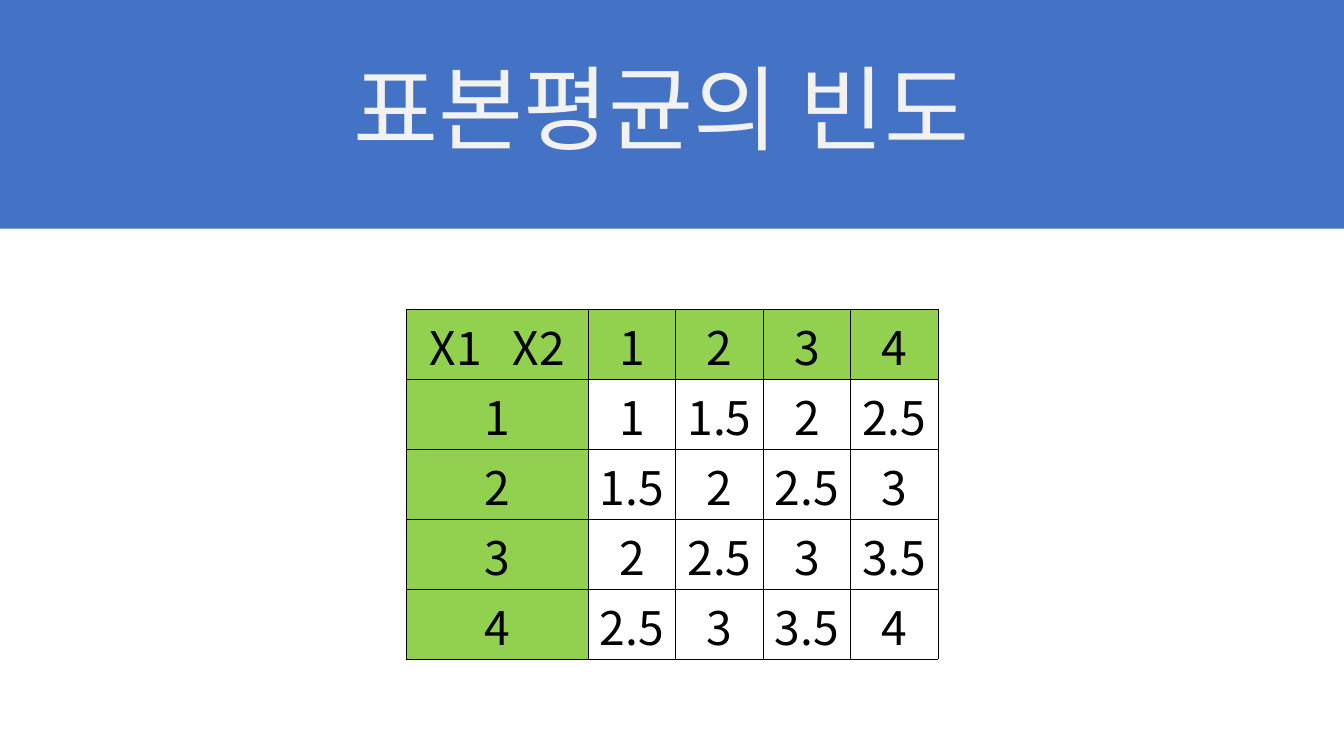
from lxml import etree
from pptx import Presentation
from pptx.dml.color import RGBColor
from pptx.enum import shapes, text
from pptx.oxml.ns import qn
from pptx.util import Pt

BLUE = RGBColor(0x44, 0x72, 0xC4)
GREEN = RGBColor(0x92, 0xD0, 0x50)
WHITE = RGBColor(0xFF, 0xFF, 0xFF)
OFF_WHITE = RGBColor(0xF2, 0xF2, 0xF2)
BLACK = RGBColor(0, 0, 0)
FONT = "Noto Sans CJK KR"


def format_runs(p, size, color):
    """Centre a paragraph and set the Latin and East Asian font of its runs."""
    p.alignment = text.PP_ALIGN.CENTER
    for r in p.runs:
        r.font.size = Pt(size)
        r.font.name = FONT
        r.font.color.rgb = color
        etree.SubElement(r.font._element, qn("a:ea"), typeface=FONT)


def add_borders(cell):
    tcPr = cell._tc.get_or_add_tcPr()
    for i, side in enumerate(("lnL", "lnR", "lnT", "lnB")):
        ln = etree.Element(qn(f"a:{side}"), w=str(Pt(0.5)))
        fill = etree.SubElement(ln, qn("a:solidFill"))
        etree.SubElement(fill, qn("a:srgbClr"), val=str(BLACK))
        tcPr.insert(i, ln)


prs = Presentation()
prs.slide_width, prs.slide_height = Pt(960), Pt(540)
s = prs.slides.add_slide(prs.slide_layouts[5])

# Title on a blue banner
banner = s.shapes.add_shape(shapes.MSO_SHAPE.RECTANGLE, Pt(0), Pt(-0.7), Pt(960), Pt(164))
banner.shadow.inherit = False
banner.fill.solid()
banner.fill.fore_color.rgb = BLUE
banner.line.fill.background()

title = s.shapes.title
banner._element.addnext(title._element)
title.left, title.top, title.width, title.height = Pt(66), Pt(28.8), Pt(828), Pt(104.4)
tf = title.text_frame
tf.text = "표본평균의 빈도 "
tf.word_wrap = True
tf.auto_size = text.MSO_AUTO_SIZE.NONE
tf.vertical_anchor = text.MSO_ANCHOR.MIDDLE
tf.paragraphs[0].line_spacing = 0.9
format_runs(tf.paragraphs[0], 66, OFF_WHITE)

# Mean of every pair of draws from 1 to 4
draws = range(1, 5)
rows = [["", *draws]] + [[x1, *((x1 + x2) / 2 for x2 in draws)] for x1 in draws]
table = s.shapes.add_table(5, 5, Pt(290.2), Pt(220.9), Pt(380), Pt(224)).table
for i, column in enumerate(table.columns):
    column.width = Pt(62.5 if i else 130)

for i, row in enumerate(rows):
    for j, value in enumerate(row):
        cell = table.cell(i, j)
        cell.margin_left = cell.margin_right = cell.margin_top = Pt(2.2)
        cell.margin_bottom = Pt(0)
        cell.vertical_anchor = text.MSO_ANCHOR.MIDDLE
        cell.fill.solid()
        cell.fill.fore_color.rgb = WHITE if i and j else GREEN
        add_borders(cell)
        p = cell.text_frame.paragraphs[0]
        if i or j:
            p.text = f"{value:g}"
        else:
            for part in ("X1", " ", "X2"):
                p.add_run().text = part
            p.runs[1].font._element.set("spc", "1480")  # widens the gap
        format_runs(p, 33, BLACK)
        p.font.bold = False
        for r in p.runs:
            r.font.bold = False

prs.save("out.pptx")
